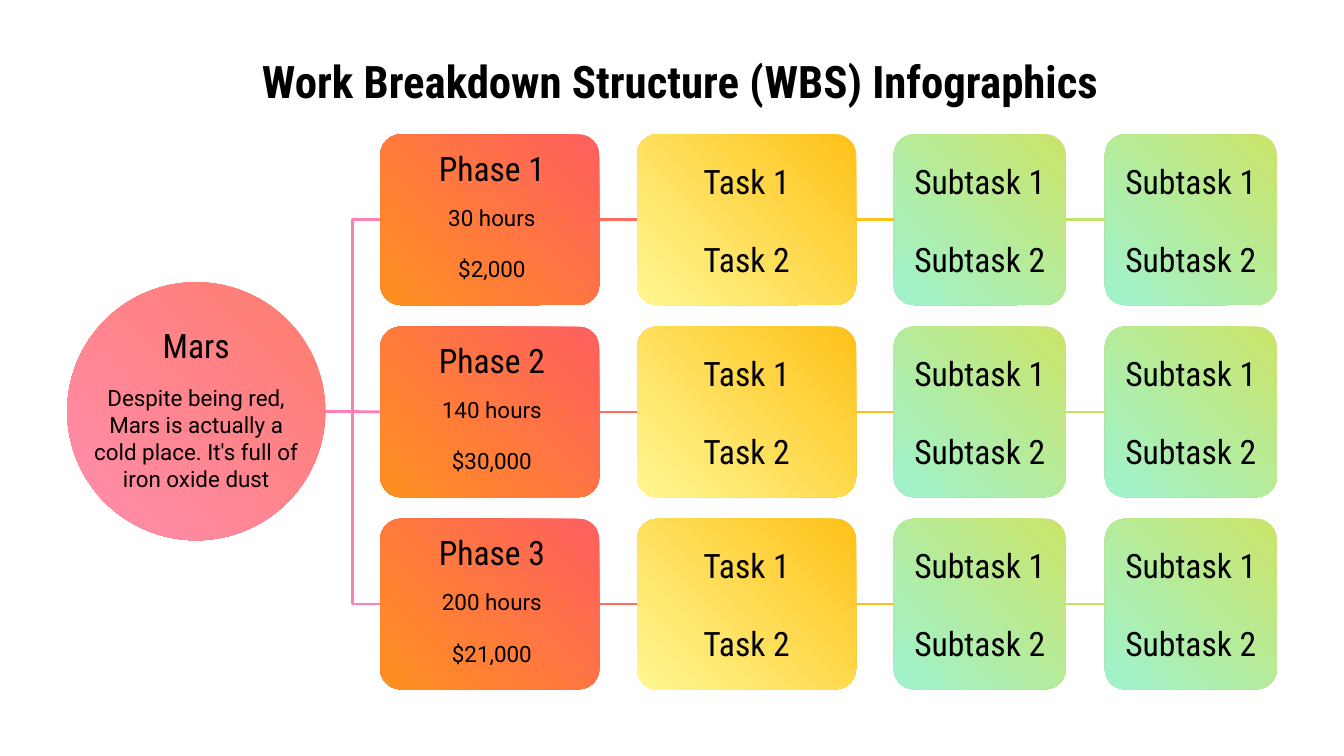
from lxml import etree
from pptx import Presentation
from pptx.dml.color import RGBColor
from pptx.enum.shapes import MSO_CONNECTOR as CONNECTOR, MSO_SHAPE as SHAPE
from pptx.enum.text import MSO_ANCHOR as ANCHOR, PP_ALIGN as ALIGN
from pptx.oxml.ns import qn
from pptx.util import Inches, Pt

BLACK = RGBColor(0x00, 0x00, 0x00)
PINK_LINE = RGBColor(0xFF, 0x80, 0xB9)
RED_LINE = RGBColor(0xFF, 0x6D, 0x5D)
YELLOW_LINE = RGBColor(0xFF, 0xC1, 0x19)
GREEN_LINE = RGBColor(0xC2, 0xE4, 0x69)
# Gradients run from the top right corner to the bottom left one
PINK = RGBColor(0xFF, 0x7C, 0x6D), RGBColor(0xFF, 0x8D, 0xAD)
ORANGE = RGBColor(0xFF, 0x5F, 0x5F), RGBColor(0xFF, 0x90, 0x20)
YELLOW = YELLOW_LINE, RGBColor(0xFF, 0xF8, 0x92)
GREEN = RGBColor(0xCB, 0xE4, 0x69), RGBColor(0x9F, 0xF3, 0xCF)

TITLE = {"name": "Roboto Condensed", "size": Pt(24), "bold": True}
HEADING = {"name": "Roboto Condensed", "size": Pt(18)}
BODY = {"name": "Roboto", "size": Pt(12)}

SLIDE_WIDTH = Inches(10)
PHASES = [
    ("Phase 1", "30 hours", "$2,000"),
    ("Phase 2", "140 hours", "$30,000"),
    ("Phase 3", "200 hours", "$21,000"),
]
ROOT_BOX = (0.5, 2.1, 1.92, 1.92)
ROW_TOP, ROW_PITCH, CARD_HEIGHT = 1, 1.43, 1.27
PHASE_LEFT, PHASE_WIDTH = 2.83, 1.63
LABEL_HEIGHT = 0.43
# Left, width, text inset, item name, gradient, colour of the line leading in
ITEM_COLUMNS = [
    (4.74, 1.63, 0.1, "Task", YELLOW, RED_LINE),
    (6.65, 1.28, 0.05, "Subtask", GREEN, YELLOW_LINE),
    (8.22, 1.28, 0.05, "Subtask", GREEN, GREEN_LINE),
]


def add_text(slide, box, text, font_format, anchor=ANCHOR.TOP):
    frame = slide.shapes.add_textbox(*map(Inches, box)).text_frame
    frame.word_wrap = True
    frame.vertical_anchor = anchor
    for side in ("left", "top", "right", "bottom"):
        setattr(frame, f"margin_{side}", Inches(0.1))
    paragraph = frame.paragraphs[0]
    paragraph.alignment = ALIGN.CENTER
    run = paragraph.add_run()
    run.text = text
    for name, value in font_format.items():
        setattr(run.font, name, value)
    run.font.color.rgb = BLACK


def add_gradient_shape(slide, kind, box, colors):
    shape = slide.shapes.add_shape(kind, *map(Inches, box))
    shape.shadow.inherit = False
    shape.line.fill.background()
    shape.fill.gradient()
    shape.fill.gradient_angle = 225
    for stop, color in zip(shape.fill.gradient_stops, colors):
        stop.color.rgb = color
    return shape


def add_line(slide, start, end, color, kind=CONNECTOR.STRAIGHT):
    connector = slide.shapes.add_connector(kind, *map(Inches, (*start, *end)))
    connector.line.color.rgb = color
    connector.line.width = Pt(1.5)
    etree.SubElement(connector._element.spPr, qn("a:effectLst"))


def add_card(slide, box, colors):
    card = add_gradient_shape(slide, SHAPE.ROUNDED_RECTANGLE, box, colors)
    card.adjustments[0] = 0.12


def add_root(slide, box):
    left, top, width, _ = box
    add_gradient_shape(slide, SHAPE.OVAL, box, PINK)
    text_left, text_width = left + 0.07, width - 0.14
    add_text(slide, (text_left, top + 0.22, text_width, 0.51), "Mars", HEADING)
    add_text(slide, (text_left, top + 0.66, text_width, 0.98),
             "Despite being red, Mars is actually a cold place. "
             "It's full of iron oxide dust", BODY)


def add_phase(slide, box, texts):
    left, top, width, _ = box
    add_card(slide, box, ORANGE)
    for text, offset, font in zip(texts, (0, 0.42, 0.8), (HEADING, BODY, BODY)):
        label_box = (left + 0.14, top + offset, width - 0.25, LABEL_HEIGHT)
        add_text(slide, label_box, text, font)


def add_items(slide, box, inset, item, colors):
    """Add a card with two numbered items spread over its height."""
    left, top, width, _ = box
    add_card(slide, box, colors)
    for number, offset in enumerate((0.13, 0.71), start=1):
        label_box = (left + inset, top + offset, width - 2 * inset, LABEL_HEIGHT)
        add_text(slide, label_box, f"{item} {number}", HEADING, ANCHOR.MIDDLE)


def add_row(slide, top, phase):
    """Add a phase and its item cards, joined at mid-height."""
    middle = top + CARD_HEIGHT / 2
    add_phase(slide, (PHASE_LEFT, top, PHASE_WIDTH, CARD_HEIGHT), phase)
    previous_right = PHASE_LEFT + PHASE_WIDTH
    for left, width, inset, item, colors, line_color in ITEM_COLUMNS:
        add_items(slide, (left, top, width, CARD_HEIGHT), inset, item, colors)
        add_line(slide, (previous_right, middle), (left, middle), line_color)
        previous_right = left + width


def add_branches(slide, start, row_tops):
    kinds = (CONNECTOR.ELBOW, CONNECTOR.STRAIGHT, CONNECTOR.ELBOW)
    for top, kind in zip(row_tops, kinds):
        end = (PHASE_LEFT, top + CARD_HEIGHT / 2)
        add_line(slide, start, end, PINK_LINE, kind)


def main():
    presentation = Presentation()
    presentation.slide_width = SLIDE_WIDTH
    presentation.slide_height = SLIDE_WIDTH * 9 // 16
    slide = presentation.slides.add_slide(presentation.slide_layouts[6])

    add_text(slide, (0.4, 0.3, 9.32, 0.63),
             "Work Breakdown Structure (WBS) Infographics", TITLE)
    add_root(slide, ROOT_BOX)
    row_tops = [ROW_TOP + ROW_PITCH * row for row in range(len(PHASES))]
    for top, phase in zip(row_tops, PHASES):
        add_row(slide, top, phase)
    left, top, width, height = ROOT_BOX
    add_branches(slide, (left + width, top + height / 2), row_tops)
    presentation.save("out.pptx")


if __name__ == "__main__":
    main()
